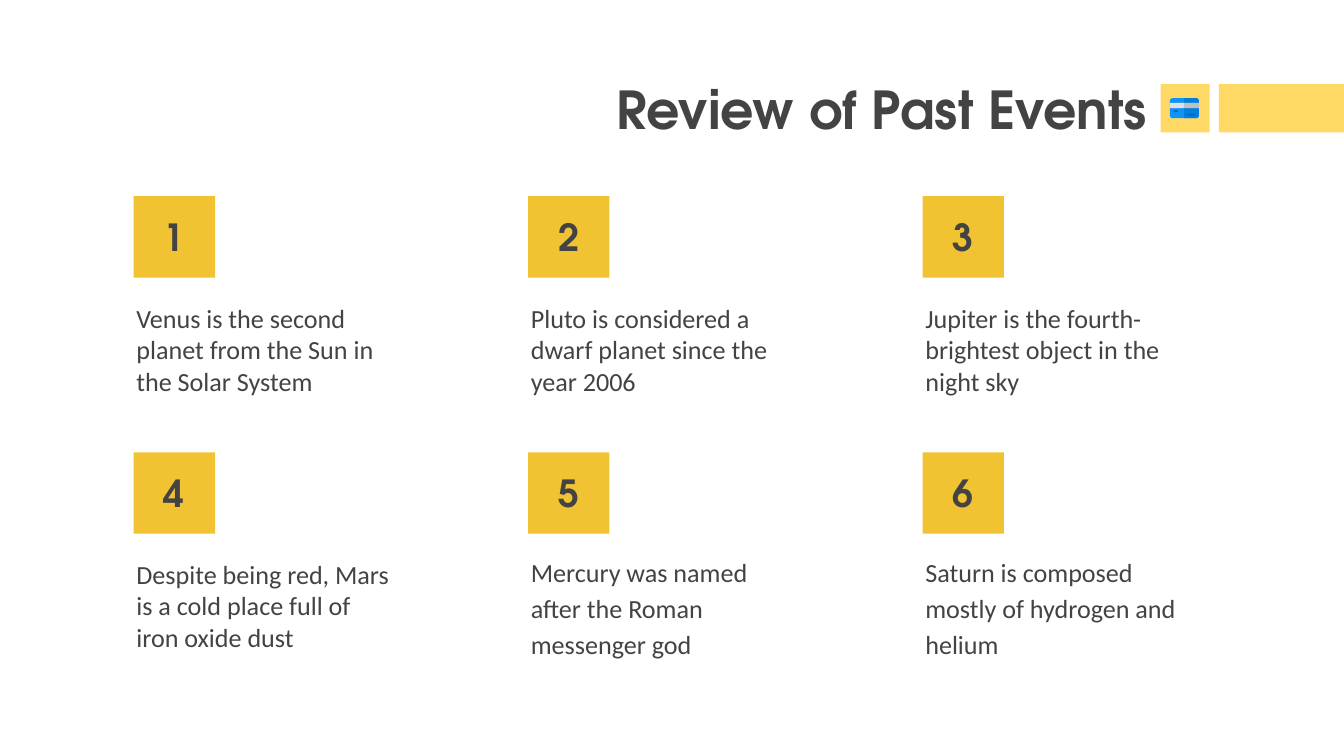
"""Build the six-card "Review of Past Events" slide."""
from lxml import etree
from pptx import Presentation
from pptx.dml.color import RGBColor
from pptx.enum import shapes, text
from pptx.oxml import ns
from pptx.util import Inches, Pt

THEME = {
    "ink": "434343", "band": "FFD966", "badge": "F1C232", "card": "0D94FB",
    "card_dark": "007FE0", "stripe": "E0E0E0", "shade": "7B7B7B", "mark": "0069B8",
    "head_font": "TeX Gyre Adventor", "body_font": "Calibri",
    "title_size": 56, "badge_size": 40, "body_size": 28,
}
KIND = shapes.MSO_SHAPE
ALIGN = text.PP_ALIGN
ANCHOR = text.MSO_ANCHOR


def add_block(kind, box, fill, radius=None, rotation=0):
    sp = s.shapes.add_shape(kind, *map(Inches, box))
    sp.shadow.inherit = False
    sp.fill.solid()
    sp.fill.fore_color.rgb = RGBColor.from_string(THEME[fill])
    sp.line.fill.background()
    sp.rotation = rotation
    if radius is not None:
        sp.adjustments[0] = radius
    return sp


def write(sp, words, role, align, anchor, spacing=1.0):
    tf = sp.text_frame
    frame = {"word_wrap": True, "auto_size": text.MSO_AUTO_SIZE.NONE, "vertical_anchor": anchor}
    frame.update({f"margin_{side}": Inches(0.2) for side in ("left", "top", "right", "bottom")})
    for name, value in frame.items():
        setattr(tf, name, value)
    p = tf.paragraphs[0]
    p.alignment, p.line_spacing = align, spacing
    r = p.add_run()
    r.text = words
    font = {"name": THEME["body_font" if role == "body" else "head_font"],
            "size": Pt(THEME[f"{role}_size"]), "bold": role != "body"}
    for name, value in font.items():
        setattr(r.font, name, value)
    r.font.color.rgb = RGBColor.from_string(THEME["ink"])


prs = Presentation()
prs.slide_width, prs.slide_height = Inches(20), Inches(11.25)
s = prs.slides.add_slide(prs.slide_layouts[5])

for left, width in ((18.14, 1.87), (17.27, 0.73)):
    add_block(KIND.RECTANGLE, (left, 1.25, min(width, 20 - left), 0.72), "band")

title = s.shapes.title
title.left, title.top, title.width, title.height = map(Inches, (3.71, 1.14, 13.56, 0.94))
write(title, "Review of Past Events", "title", ALIGN.RIGHT, ANCHOR.MIDDLE)

add_block(KIND.ROUNDED_RECTANGLE, (17.41, 1.46, 0.43, 0.3), "card", 0.14)
add_block(KIND.ROUND_2_SAME_RECTANGLE, (17.58, 1.5, 0.3, 0.22), "card_dark", 0.19, 90)
add_block(KIND.RECTANGLE, (17.41, 1.53, 0.43, 0.08), "stripe")
shade = add_block(KIND.RECTANGLE, (17.62, 1.53, 0.22, 0.08), "shade")
color = shade.fill._xPr.find(ns.qn("a:solidFill"))[0]
etree.SubElement(color, ns.qn("a:alpha"), val="32000")
for box in ((17.46, 1.64, 0.07, 0.03), (17.67, 1.69, 0.12, 0.03)):
    add_block(KIND.ROUNDED_RECTANGLE, box, "mark", 0.5)

EVENTS = (
    ("Venus is the second planet from the Sun in the Solar System", ANCHOR.TOP, 1.0),
    ("Pluto is considered a dwarf planet since the year 2006", ANCHOR.TOP, 1.0),
    ("Jupiter is the fourth-brightest object in the night sky", ANCHOR.TOP, 1.0),
    ("Despite being red, Mars is a cold place full of iron oxide dust", ANCHOR.MIDDLE, 1.0),
    ("Mercury was named after the Roman messenger god", ANCHOR.MIDDLE, 1.15),
    ("Saturn is composed mostly of hydrogen and helium", ANCHOR.MIDDLE, 1.15),
)
for i, (words, anchor, spacing) in enumerate(EVENTS):
    row, column = divmod(i, 3)
    left, top = 1.99 + column * 5.87, 2.92 + row * 3.81
    badge = add_block(KIND.RECTANGLE, (left, top, 1.21, 1.21), "badge")
    write(badge, str(i + 1), "badge", ALIGN.CENTER, ANCHOR.MIDDLE)
    caption = s.shapes.add_textbox(*map(Inches, (left - 0.16, top + 1.38, 4.3, 1.8)))
    write(caption, words, "body", ALIGN.LEFT, anchor, spacing)

prs.save("out.pptx")
